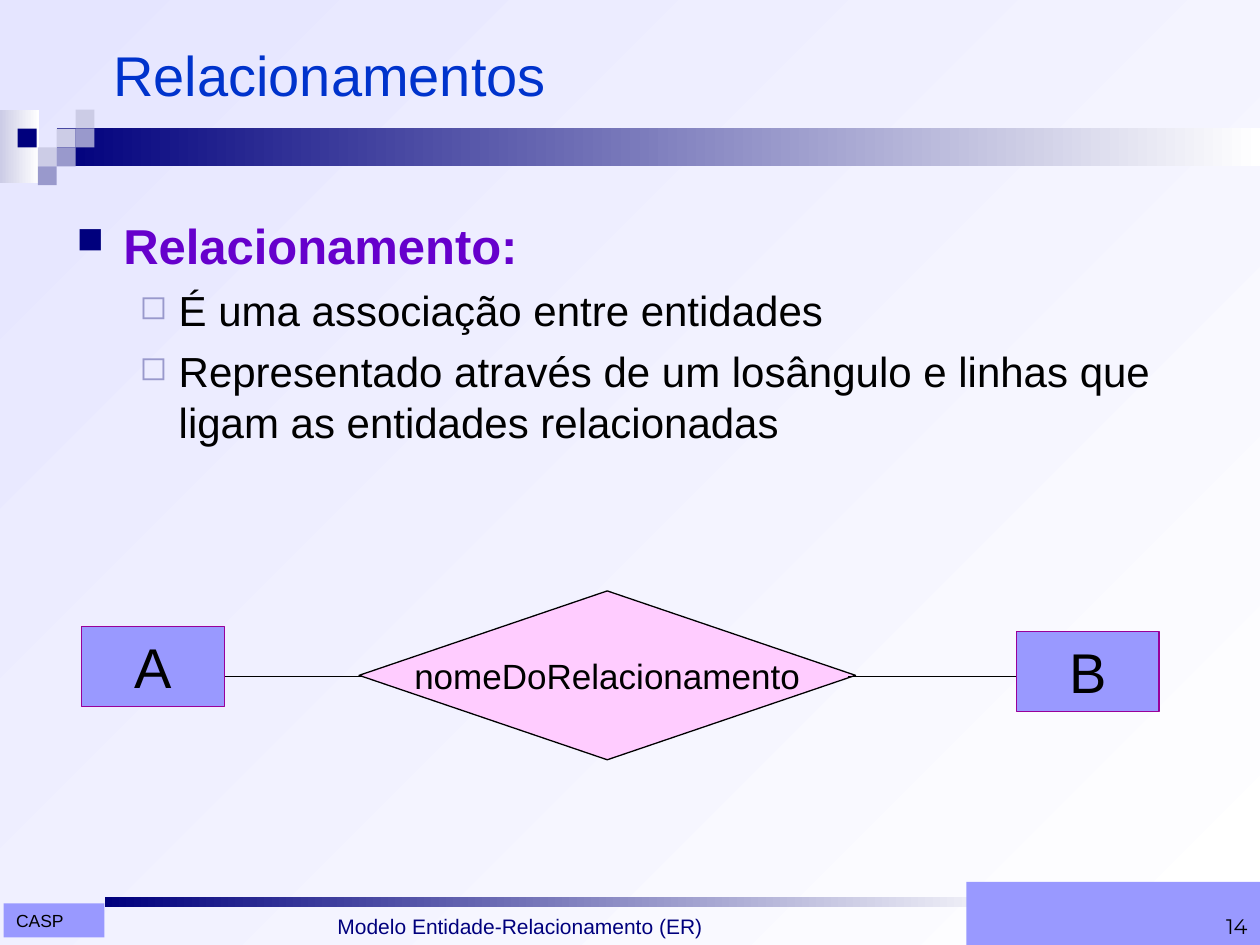
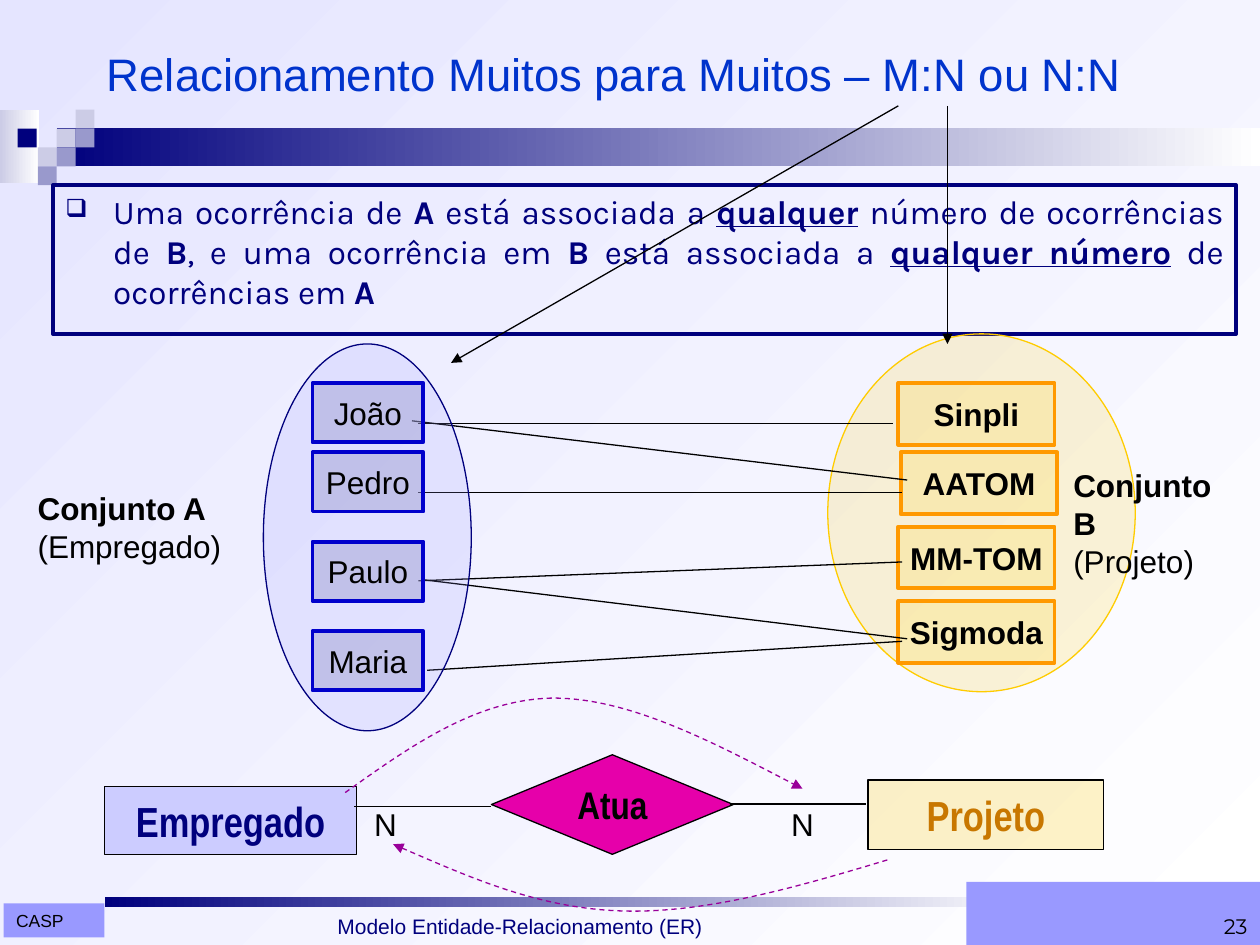
import pptx
import pptx.util
import pptx.dml.color
import pptx.enum.dml
import pptx.enum.shapes
import pptx.enum.text
from pptx.oxml.ns import qn
from lxml import etree

Inches = pptx.util.Inches
SHAPES = pptx.enum.shapes.MSO_SHAPE
ALIGN = pptx.enum.text.PP_ALIGN
ANCHOR = pptx.enum.text.MSO_ANCHOR

# Shared colours
NAVY, WHITE, BLACK = "00007D", "FFFFFF", "000000"
PALE, MID, PERIWINKLE = "CCCCE6", "9999CC", "9999FF"
PURPLE, YELLOW, ORANGE = "990099", "FFCC00", "FF9900"


def rgb(color):
    return pptx.dml.color.RGBColor.from_string(color)


# Formatting helpers
def set_values(target, values):
    for name, value in values.items():
        setattr(target, name, value)


def font(size, color=BLACK, name="Arial", **extra):
    return {"size": pptx.util.Pt(size), "name": name, "color": color, **extra}


def set_gradient(fill, start, end, angle):
    fill.gradient()
    fill.gradient_angle = angle
    for stop, color in zip(fill.gradient_stops, (start, end)):
        stop.color.rgb = rgb(color)


def set_line(shape, color=BLACK, width=0.75, dash=None, head=False, tail=False):
    shape.line.color.rgb = rgb(color)
    shape.line.width = pptx.util.Pt(width)
    if dash:
        shape.line.dash_style = dash
    outline = shape.element.spPr.find(qn("a:ln"))
    for tag, wanted in (("a:headEnd", head), ("a:tailEnd", tail)):
        if wanted:
            etree.SubElement(outline, qn(tag), type="triangle")


def add_bullet(paragraph, character, color, size, left, hanging):
    properties = paragraph._p.get_or_add_pPr()
    properties.set("marL", str(Inches(left)))
    properties.set("indent", str(-Inches(hanging)))
    bullet_color = etree.SubElement(properties, qn("a:buClr"))
    etree.SubElement(bullet_color, qn("a:srgbClr"), val=color)
    etree.SubElement(properties, qn("a:buSzPct"), val=str(size * 1000))
    etree.SubElement(properties, qn("a:buChar"), char=character)


def add_runs(paragraph, runs, base):
    for text, changes in runs:
        run = paragraph.add_run()
        run.text = text
        values = {**base, **changes}
        color = values.pop("color")
        set_values(run.font, values)
        run.font.color.rgb = rgb(color)


def write(shape, paragraphs, base, align=ALIGN.LEFT, anchor=ANCHOR.TOP, wrap=True):
    """Each paragraph is (runs, bullet, space before in points)."""
    frame = shape.text_frame
    set_values(frame, {"word_wrap": wrap, "vertical_anchor": anchor})
    for index, (runs, bullet, space) in enumerate(paragraphs):
        paragraph = frame.paragraphs[0] if index == 0 else frame.add_paragraph()
        paragraph.alignment = align
        if space:
            paragraph.space_before = pptx.util.Pt(space)
        if bullet:
            add_bullet(paragraph, *bullet)
        add_runs(paragraph, runs, base)


def plain(*texts):
    return [([(text, {})], None, 0) for text in texts]


# Element builders
def add_block(slide, place, fill=None, opacity=100, line=None, width=0.75,
              kind=SHAPES.RECTANGLE):
    shape = slide.shapes.add_shape(kind, *map(Inches, place))
    shape.shadow.inherit = False
    if isinstance(fill, tuple):
        set_gradient(shape.fill, *fill, 0)
    elif fill:
        shape.fill.solid()
        shape.fill.fore_color.rgb = rgb(fill)
        if opacity < 100:
            color = shape.element.spPr.find(".//" + qn("a:srgbClr"))
            etree.SubElement(color, qn("a:alpha"), val=str(opacity * 1000))
    else:
        shape.fill.background()
    if line:
        set_line(shape, line, width)
    else:
        shape.line.fill.background()
    return shape


def add_label(slide, place, paragraphs, base, **layout):
    box = slide.shapes.add_textbox(*map(Inches, place))
    write(box, paragraphs, base, **layout)


def add_node(slide, place, text, base, anchor=ANCHOR.MIDDLE, **look):
    shape = add_block(slide, place, **look)
    write(shape, plain(text), base, align=ALIGN.CENTER, anchor=anchor, wrap=False)


def add_link(slide, x1, y1, x2, y2, **line):
    connector = slide.shapes.add_connector(
        pptx.enum.shapes.MSO_CONNECTOR.STRAIGHT, *map(Inches, (x1, y1, x2, y2)))
    set_line(connector, **line)
    etree.SubElement(connector.element.spPr, qn("a:effectLst"))


def add_curve(slide, points, **ends):
    """Draw cubic curves: a start, then three points for each curve."""
    start, *others = [tuple(map(Inches, point)) for point in points]
    builder = slide.shapes.build_freeform(*start)
    builder.add_line_segments(others, close=False)
    shape = builder.convert_to_shape()
    segments = list(shape.element.iter(qn("a:lnTo")))
    for first in range(0, len(segments), 3):
        curve = etree.Element(qn("a:cubicBezTo"))
        segments[first].addprevious(curve)
        for segment in segments[first:first + 3]:
            curve.append(segment[0])
            segment.getparent().remove(segment)
    shape.shadow.inherit = False
    shape.fill.background()
    set_line(shape, PURPLE, dash=pptx.enum.dml.MSO_LINE.DASH, **ends)


def add_base_slide(presentation, number):
    slide = presentation.slides.add_slide(presentation.slide_layouts[6])
    set_gradient(slide.background.fill, "E5E5FF", WHITE, 315)
    # Band with squares
    add_block(slide, (0, 0.87, 0.31, 0.58), (PALE, WHITE))
    add_block(slide, (0.45, 1.02, 9.55, 0.3), (NAVY, WHITE))
    squares = [(0.45, 1.02, PALE), (0.6, 0.87, PALE), (0.6, 1.02, MID),
               (0.3, 1.17, PALE), (0.14, 1.02, NAVY), (0.45, 1.17, MID),
               (0.3, 1.32, MID)]
    for left, top, color in squares:
        add_block(slide, (left, top, 0.15, 0.15), color)
    # Footer
    add_block(slide, (0.83, 7.12, 7.38, 0.08), (NAVY, WHITE))
    tag = add_block(slide, (0.03, 7.17, 0.8, 0.27), PERIWINKLE)
    write(tag, plain("CASP"), font(10))
    add_label(slide, (2.58, 6.98, 4.62, 0.52),
              plain("Modelo Entidade-Relacionamento (ER)"), font(12, NAVY),
              anchor=ANCHOR.BOTTOM)
    page = add_block(slide, (7.67, 7, 2.33, 0.5), PERIWINKLE)
    write(page, plain(number), font(12, name="Montserrat"),
          align=ALIGN.RIGHT, anchor=ANCHOR.BOTTOM)
    return slide


def add_title(slide, place, text, size):
    add_label(slide, place, plain(text), font(size, "0033CC"), anchor=ANCHOR.MIDDLE)


def build_definition(presentation):
    slide = add_base_slide(presentation, "14")
    add_title(slide, (0.8, 0.22, 9.01, 0.73), "Relacionamentos", 32)

    heading = font(28, "6600CC", bold=True)
    hollow = ("◻", MID, 80, 0.81, 0.31)
    add_label(slide, (0.51, 1.66, 9.01, 5.01), [
        ([("Relacionamento:", heading)], ("■", NAVY, 75, 0.37, 0.37), 0),
        ([("É uma associação entre entidades", {})], hollow, 6),
        ([("Representado através de um losângulo e linhas que ligam "
           "as entidades relacionadas", {})], hollow, 6),
    ], font(24))

    # Entities A and B joined by a relationship
    add_node(slide, (2.85, 4.69, 3.94, 1.34), "nomeDoRelacionamento", font(20),
             fill="FFCCFF", line=BLACK, kind=SHAPES.DIAMOND)
    for start, end in ((1.3, 2.87), (6.73, 8.31)):
        add_link(slide, start, 5.37, end, 5.37)
    for name, left, top in (("A", 0.65, 4.97), ("B", 8.07, 5.01)):
        add_node(slide, (left, top, 1.13, 0.64), name, font(32),
                 anchor=ANCHOR.TOP, fill=PERIWINKLE, line=PURPLE)


def build_many_to_many(presentation):
    slide = add_base_slide(presentation, "23")
    add_title(slide, (0.75, 0.13, 9, 0.91),
              "Relacionamento Muitos para Muitos – M:N ou N:N", 26)

    # Rule
    bold = {"bold": True}
    marked = {"bold": True, "underline": True}
    rule = add_block(slide, (0.42, 1.47, 9.39, 1.18), line=NAVY, width=2.25)
    write(rule, [([
        ("Uma ocorrência de ", {}), ("A", bold), (" está associada a ", {}),
        ("qualquer", marked), (" número de ocorrências de ", {}), ("B", bold),
        (", e uma ocorrência em ", {}), ("B", bold), (" está associada a ", {}),
        ("qualquer número", marked), (" de ocorrências em ", {}), ("A", bold),
    ], ("❑", NAVY, 75, 0.38, 0.38), 0)], font(19, NAVY, "Karla"), align=ALIGN.JUSTIFY)

    # Set B: projects
    add_block(slide, (6.57, 2.65, 2.44, 2.84), YELLOW, 16, YELLOW, kind=SHAPES.OVAL)
    projects = [("Sinpli", 7.13, 3.04), ("AATOM", 7.15, 3.59),
                ("MM-TOM", 7.13, 4.18), ("Sigmoda", 7.13, 4.77)]
    for name, left, top in projects:
        add_node(slide, (left, top, 1.24, 0.49), name, font(18, bold=True),
                 fill=YELLOW, opacity=16, line=ORANGE, width=2.25)

    # Employee to project links
    links = [(3.32, 3.36, 7.09, 3.36), (3.27, 3.34, 7.2, 3.81),
             (3.32, 3.91, 7.16, 3.91), (3.32, 4.61, 7.16, 4.46),
             (3.35, 4.6, 7.2, 5.07), (3.39, 5.32, 7.16, 5.09)]
    for link in links:
        add_link(slide, *link)

    # Set A: employees
    add_block(slide, (2.09, 2.73, 1.65, 3.07), PERIWINKLE, 17, NAVY, kind=SHAPES.OVAL)
    employees = {"João": 3.04, "Pedro": 3.59, "Paulo": 4.3, "Maria": 5.01}
    for name, top in employees.items():
        add_node(slide, (2.48, top, 0.88, 0.47), name, font(18),
                 fill=MID, opacity=43, line="0000CC", width=2.25)

    # Set names
    captions = [((0.2, 3.83, 1.66, 0.7), "Conjunto A", "(Empregado)"),
                ((8.42, 3.65, 1.54, 0.7), "Conjunto B", "(Projeto)")]
    for place, name, content in captions:
        add_label(slide, place, [([(name, bold)], None, 0), *plain(content)],
                  font(18), wrap=False)

    # Diagram: Empregado - Atua - Projeto
    narrow = {"name": "Arial Narrow", "bold": True}
    add_node(slide, (0.83, 6.24, 2, 0.54), "Empregado", font(24, NAVY, **narrow),
             fill="CCCCFF", line=BLACK)
    add_node(slide, (6.89, 6.19, 1.87, 0.55), "Projeto", font(24, "C87700", **narrow),
             fill=YELLOW, opacity=22, line=BLACK)
    add_node(slide, (3.9, 5.99, 1.92, 0.79), "Atua", font(22, **narrow),
             fill="E600AA", line=BLACK, kind=SHAPES.FLOWCHART_DECISION)
    add_link(slide, 6.87, 6.38, 5.79, 6.38)
    add_link(slide, 2.81, 6.4, 3.9, 6.4)
    for left in (2.87, 6.18):
        add_label(slide, (left, 6.34, 0.38, 0.4), plain("N"), font(18), wrap=False)

    # Arrows from the title and reading directions
    add_link(slide, 7.13, 0.84, 3.58, 2.88, tail=True)
    add_link(slide, 7.52, 0.84, 7.52, 2.73, tail=True)
    add_curve(slide, [(2.74, 6.29), (3.26, 5.92), (3.78, 5.55), (4.39, 5.54),
                      (4.99, 5.54), (5.68, 5.9), (6.37, 6.26)], tail=True)
    add_curve(slide, [(3.12, 6.7), (3.7, 6.95), (4.28, 7.21), (4.94, 7.23),
                      (5.6, 7.25), (6.33, 7.04), (7.06, 6.82)], head=True)


def main():
    presentation = pptx.Presentation()
    set_values(presentation, {"slide_width": Inches(10), "slide_height": Inches(7.5)})
    build_definition(presentation)
    build_many_to_many(presentation)
    presentation.save("out.pptx")


if __name__ == "__main__":
    main()
